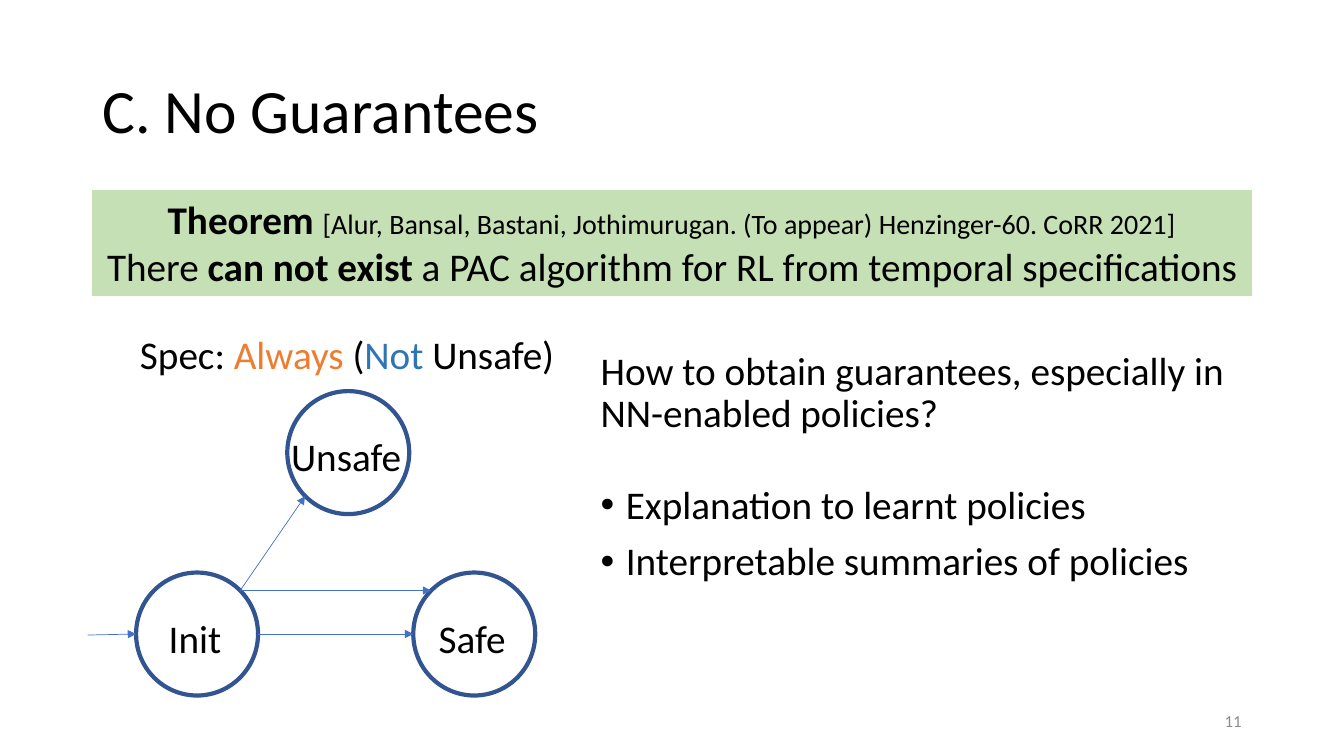
from dataclasses import dataclass
from math import sqrt

from lxml import etree
from pptx import Presentation
from pptx.dml.color import RGBColor
from pptx.enum.shapes import MSO_CONNECTOR, MSO_SHAPE
from pptx.enum.text import MSO_ANCHOR, PP_ALIGN
from pptx.oxml.ns import qn
from pptx.util import Pt

LEFT, CENTER, RIGHT = PP_ALIGN.LEFT, PP_ALIGN.CENTER, PP_ALIGN.RIGHT
TOP, MIDDLE = MSO_ANCHOR.TOP, MSO_ANCHOR.MIDDLE
RECTANGLE, OVAL = MSO_SHAPE.RECTANGLE, MSO_SHAPE.OVAL
STRAIGHT = MSO_CONNECTOR.STRAIGHT
TITLE_ONLY = 5


@dataclass(frozen=True)
class Theme:
    font: str = "Calibri"
    text: str = "000000"
    muted: str = "8C8C8C"
    banner: str = "C5E0B4"
    state: str = "325491"
    arrow: str = "4472C4"
    always: str = "ED7D31"
    negation: str = "2E75B6"
    title_size: int = 44
    body_size: int = 28
    citation_size: int = 20
    number_size: int = 12


THEME = Theme()


def rgb(color):
    return RGBColor.from_string(color)


def style(paragraph, size=THEME.body_size, color=THEME.text, align=LEFT):
    paragraph.alignment = align
    paragraph.font.name = THEME.font
    paragraph.font.size = Pt(size)
    paragraph.font.color.rgb = rgb(color)


def add_run(paragraph, text, bold=None, size=None, color=None):
    run = paragraph.add_run()
    run.text = text
    run.font.bold = bold
    if size:
        run.font.size = Pt(size)
    if color:
        run.font.color.rgb = rgb(color)


def add_text_frame(slide, box, anchor=TOP):
    frame = slide.shapes.add_textbox(*map(Pt, box)).text_frame
    frame.word_wrap = True
    frame.vertical_anchor = anchor
    return frame


def add_title(slide, box, text):
    title = slide.shapes.title
    title.left, title.top, title.width, title.height = map(Pt, box)
    title.text_frame.text = text
    title.text_frame.vertical_anchor = MIDDLE
    paragraph = title.text_frame.paragraphs[0]
    paragraph.line_spacing = 0.9
    style(paragraph, THEME.title_size)


def add_theorem(slide, box):
    banner = slide.shapes.add_shape(RECTANGLE, *map(Pt, box))
    banner.shadow.inherit = False
    banner.fill.solid()
    banner.fill.fore_color.rgb = rgb(THEME.banner)
    banner.line.color.rgb = rgb(THEME.banner)
    banner.line.width = Pt(0.75)
    frame = banner.text_frame
    frame.word_wrap = True
    frame.vertical_anchor = TOP
    heading, statement = frame.paragraphs[0], frame.add_paragraph()
    for paragraph in (heading, statement):
        style(paragraph, align=CENTER)
    add_run(heading, "Theorem ", bold=True)
    add_run(heading, "[Alur, Bansal, Bastani, Jothimurugan. (To appear) Henzinger-60. CoRR 2021]",
            size=THEME.citation_size)
    add_run(statement, "There ")
    add_run(statement, "can not exist ", bold=True)
    add_run(statement, "a PAC algorithm for RL from temporal specifications")


def add_state(slide, box, name):
    state = slide.shapes.add_shape(OVAL, *map(Pt, box))
    state.shadow.inherit = False
    state.fill.background()
    state.line.color.rgb = rgb(THEME.state)
    state.line.width = Pt(3)
    frame = state.text_frame
    frame.word_wrap = False
    frame.vertical_anchor = MIDDLE
    frame.margin_left = frame.margin_bottom = 0
    frame.margin_top, frame.margin_right = Pt(5), Pt(3)
    frame.text = name
    style(frame.paragraphs[0], align=CENTER)


def add_arrow(slide, start, end):
    arrow = slide.shapes.add_connector(STRAIGHT, *map(Pt, (*start, *end)))
    arrow.line.color.rgb = rgb(THEME.arrow)
    arrow.line.width = Pt(0.5)
    etree.SubElement(arrow.line._get_or_add_ln(), qn("a:tailEnd"), type="triangle")
    etree.SubElement(arrow._element.spPr, qn("a:effectLst"))


def add_state_diagram(slide, box):
    left, top, width, height = box
    state_width, state_height = 87.12, 87.84
    bottom_row = top + height - state_height
    init = (left + 34.56, bottom_row)
    safe = (left + width - state_width, bottom_row)
    unsafe = (left + 142.56, top)
    for name, corner in (("Init", init), ("Safe", safe), ("Unsafe", unsafe)):
        add_state(slide, (*corner, state_width, state_height), name)

    def rim(corner, across, down):
        return (corner[0] + state_width * (1 + across) / 2,
                corner[1] + state_height * (1 + down) / 2)

    diagonal = 1 / sqrt(2)
    branch = rim(init, diagonal, -diagonal)
    entry = rim(init, -1, 0)
    add_arrow(slide, branch, rim(unsafe, -diagonal, diagonal))
    add_arrow(slide, branch, rim(safe, -diagonal, -diagonal))
    add_arrow(slide, rim(init, 1, 0), rim(safe, -1, 0))
    add_arrow(slide, (left, entry[1] + 0.72), entry)


def add_specification(slide, box):
    frame = add_text_frame(slide, box)
    frame.word_wrap = False
    frame.margin_left = frame.margin_top = frame.margin_right = frame.margin_bottom = 0
    paragraph = frame.paragraphs[0]
    style(paragraph)
    for text, color in (("Spec: ", None), ("Always ", THEME.always), ("(", None),
                        ("Not", THEME.negation), (" Unsafe)", None)):
        add_run(paragraph, text, color=color)


def add_question(slide, box, question, answers):
    frame = add_text_frame(slide, box)
    frame.text = question
    frame.paragraphs[0].line_spacing = 0.9
    style(frame.paragraphs[0])
    for index, answer in enumerate(answers):
        paragraph = frame.add_paragraph()
        paragraph.text = answer
        paragraph.line_spacing = 0.9
        paragraph.space_before = Pt(10 if index else 35)
        properties = paragraph._p.get_or_add_pPr()
        properties.set("marL", str(Pt(18)))
        properties.set("indent", str(Pt(-18)))
        etree.SubElement(properties, qn("a:buFont"), typeface="Arial")
        etree.SubElement(properties, qn("a:buChar"), char="•")
        style(paragraph)


def add_slide_number(slide, box, number):
    frame = add_text_frame(slide, box, MIDDLE)
    frame.text = number
    style(frame.paragraphs[0], THEME.number_size, THEME.muted, RIGHT)


def main():
    presentation = Presentation()
    presentation.slide_width, presentation.slide_height = Pt(960), Pt(540)
    slide = presentation.slides.add_slide(presentation.slide_layouts[TITLE_ONLY])
    add_title(slide, (66, 28.8, 828, 104.4), "C. No Guarantees")
    add_theorem(slide, (66, 136, 828, 75))
    add_specification(slide, (100, 236, 299.5, 34))
    add_state_diagram(slide, (62.64, 279.36, 319.68, 217.44))
    add_question(slide, (422, 247.7, 488, 243.4),
                 "How to obtain guarantees, especially in NN-enabled policies?",
                 ("Explanation to learnt policies", "Interpretable summaries of policies"))
    add_slide_number(slide, (678, 500.5, 216, 28.8), "11")
    presentation.save("out.pptx")


if __name__ == "__main__":
    main()
